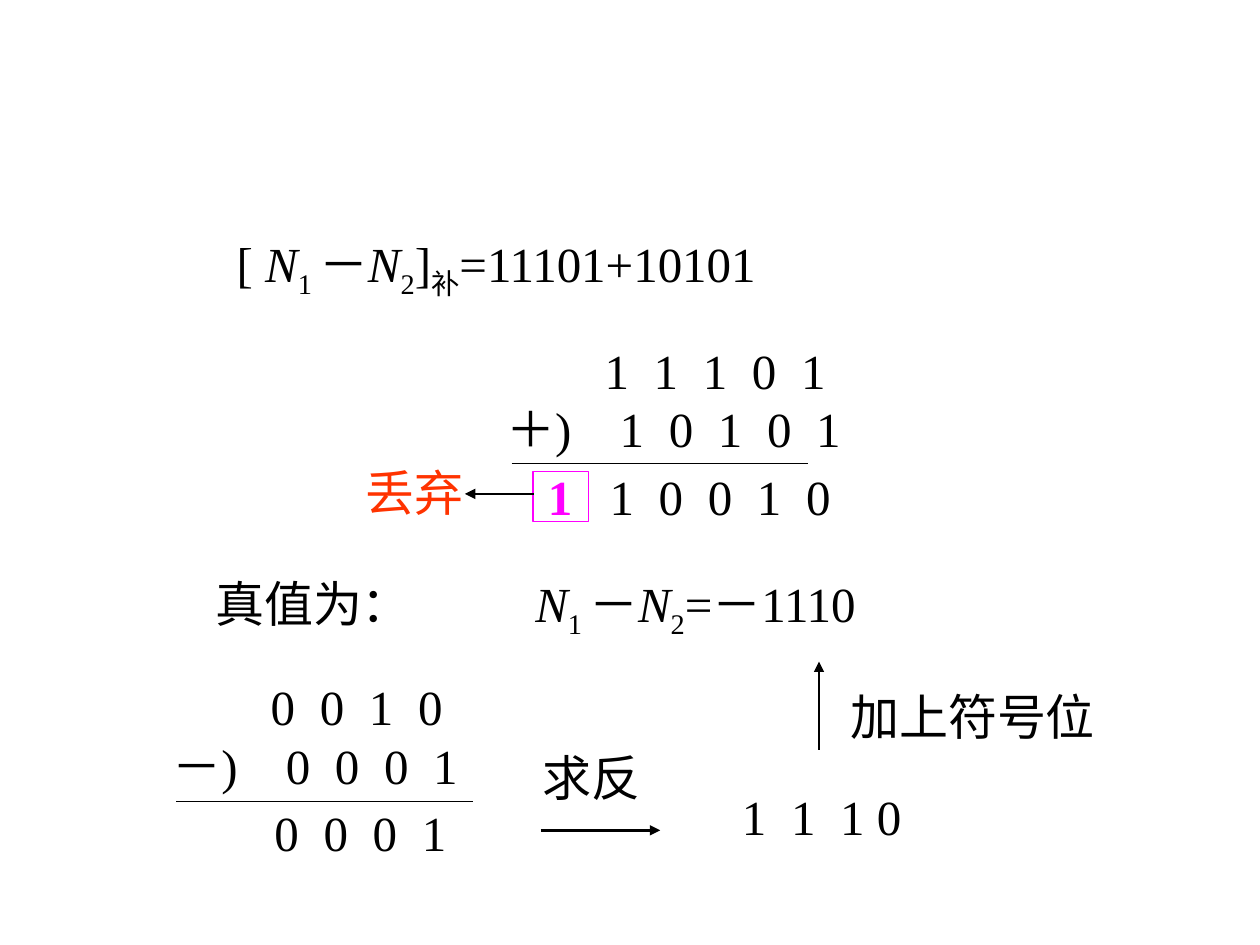
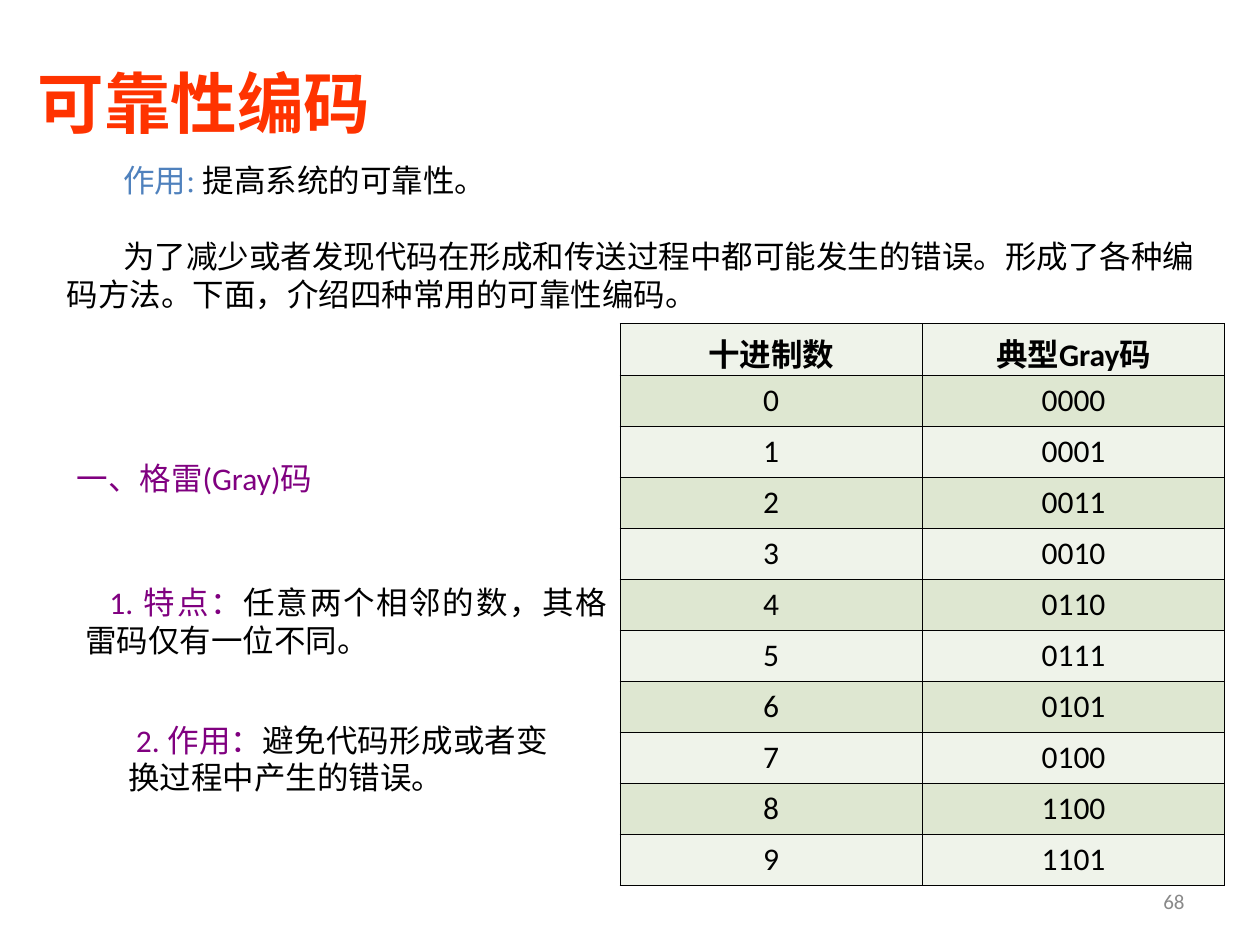
"""Build two slides on complement subtraction and the Gray code."""
from lxml.etree import SubElement
from pptx import Presentation
from pptx.dml.color import RGBColor
from pptx.enum.shapes import MSO_CONNECTOR, MSO_SHAPE
from pptx.enum.text import MSO_ANCHOR, PP_ALIGN
from pptx.oxml.ns import qn
from pptx.util import Inches, Pt

BLACK = RGBColor(0, 0, 0)
RED = RGBColor(0xFF, 0x33, 0)
MAGENTA = RGBColor(0xFF, 0, 0xFF)
PURPLE = RGBColor(0x80, 0, 0x80)
BLUE = RGBColor(0x4F, 0x81, 0xBD)
GREY = RGBColor(0x89, 0x89, 0x89)
ROW_FILLS = (RGBColor(0xEF, 0xF3, 0xEA), RGBColor(0xDE, 0xE7, 0xD1))
SERIF, SANS = "Times New Roman", "Calibri"
DIGIT_PITCH = 0.39

DIFFERENCE = [("N", "italic"), ("1 ", "subscript"), "－", ("N", "italic"), ("2", "subscript")]
FORMULAS = [
    ((1.78, 1.8, 4.9, 0.63), ["[ ", *DIFFERENCE, "]", ("补", "subscript"), "=11101+10101"], ()),
    ((1.61, 4.5, 5.67, 0.63), ["真值为：\t", *DIFFERENCE, "=－1110"], (2.54,)),
    ((5.79, 6.19, 2.24, 0.57), ["1\t1\t1 0"], (DIGIT_PITCH, 2 * DIGIT_PITCH)),
    ((6.65, 5.4, 2.36, 0.57), ["加上符号位"], ()),
    ((4.21, 5.88, 1.1, 0.57), ["求反"], ()),
]
CALCULATIONS = [
    {"terms": ("11101", "10101"), "sign": "＋)", "result": "10010", "carry": "1",
     "terms_at": (3.92, 2.65), "result_at": (4.25, 3.65), "rule": (4.06, 3.68)},
    {"terms": ("0010", "0001"), "sign": "－)", "result": "0001", "carry": "",
     "terms_at": (1.27, 5.32), "result_at": (1.59, 6.32), "rule": (1.4, 6.36)},
]
RULE_LENGTH = 2.35
ARROWS = [((4.24, 3.92), (3.69, 3.92)), ((4.29, 6.59), (5.24, 6.59)), ((6.5, 5.95), (6.5, 5.25))]

NOTES = [
    ((0.51, 3.59, 4.4, 0.4), 0, ["一、格雷(Gray)码"]),
    ((0.58, 4.58, 4.34, 0.7), 0.19, ["1. 特点：", ("任意两个相邻的数，其格雷码仅有一位不同。", BLACK)]),
    ((0.92, 5.67, 3.53, 0.7), 0.06, ["2. 作用：", ("避免代码形成或者变换过程中产生的错误。", BLACK)]),
]
PURPOSE = [("作用: ", BLUE), "提高系统的可靠性。"]
INTRODUCTION = ["为了减少或者发现代码在形成和传送过程中都可能发生的错误。"
                "形成了各种编码方法。下面，介绍四种常用的可靠性编码。"]
GRAY_CODES = ["0000", "0001", "0011", "0010", "0110", "0111", "0101", "0100", "1100", "1101"]
GRAY_TABLE = [("十进制数", "典型Gray码"), *((str(n), code) for n, code in enumerate(GRAY_CODES))]


def write(paragraph, parts, font=SERIF, size=28, color=BLACK, tabs=(), indent=0,
          align=PP_ALIGN.LEFT, bold=False):
    properties = paragraph._p.get_or_add_pPr()
    if indent:
        properties.set("indent", str(Inches(indent)))
    if tabs:
        tab_list = SubElement(properties, qn("a:tabLst"))
        for position in tabs:
            SubElement(tab_list, qn("a:tab"), pos=str(Inches(position)), algn="l")
    paragraph.alignment = align
    paragraph.font.name = font
    paragraph.font.size = Pt(size)
    paragraph.font.bold = bold
    paragraph.font.color.rgb = color
    for part in parts:
        text, style = (part, None) if isinstance(part, str) else part
        run = paragraph.add_run()
        run.text = text
        if style == "italic":
            run.font.italic = True
        elif style == "subscript":
            run._r.get_or_add_rPr().set("baseline", "-25000")
        elif style is not None:
            run.font.color.rgb = style
            run.font.bold = style == MAGENTA


def add_text(slide, box, parts, **style):
    frame = slide.shapes.add_textbox(*map(Inches, box)).text_frame
    frame.word_wrap = True
    write(frame.paragraphs[0], parts, **style)
    return frame


def add_line(slide, start, end, width, arrow=False):
    line = slide.shapes.add_connector(MSO_CONNECTOR.STRAIGHT, *map(Inches, (*start, *end)))
    line.line.color.rgb = BLACK
    line.line.width = Pt(width)
    if arrow:
        SubElement(line.line._get_or_add_ln(), qn("a:tailEnd"), type="triangle")
    SubElement(line._element.spPr, qn("a:effectLst"))


def digit_tabs(digits, first):
    return [first + DIGIT_PITCH * column for column in range(len(digits))]


def spread(digits):
    return "".join("\t" + digit for digit in digits)


def add_calculation(slide, calculation):
    upper, lower = calculation["terms"]
    frame = add_text(slide, (*calculation["terms_at"], 3, 1.04), [spread(upper)],
                     tabs=digit_tabs(upper, 0.78))
    write(frame.add_paragraph(), [calculation["sign"] + spread(lower)],
          tabs=digit_tabs(lower, 0.9))
    left, top = calculation["rule"]
    add_line(slide, (left, top), (left + RULE_LENGTH, top), 0.75)
    result = calculation["result"]
    carry = [(calculation["carry"], MAGENTA)] if calculation["carry"] else []
    add_text(slide, (*calculation["result_at"], 2.6, 0.57), [*carry, spread(result)],
             tabs=digit_tabs(result, 0.49))


def build_subtraction(presentation):
    slide = presentation.slides.add_slide(presentation.slide_layouts[6])
    for box, parts, tabs in FORMULAS:
        add_text(slide, box, parts, tabs=tabs)
    for calculation in CALCULATIONS:
        add_calculation(slide, calculation)
    carry_frame = slide.shapes.add_shape(MSO_SHAPE.RECTANGLE, *map(Inches, (4.23, 3.74, 0.44, 0.4)))
    carry_frame.shadow.inherit = False
    carry_frame.fill.background()
    carry_frame.line.color.rgb = MAGENTA
    carry_frame.line.width = Pt(0.75)
    add_text(slide, (2.8, 3.62, 0.99, 0.57), ["丢弃"], color=RED)
    for start, end in ARROWS:
        add_line(slide, start, end, 1.5, arrow=True)


def add_borders(cell):
    properties = cell._tc.get_or_add_tcPr()
    for position, side in enumerate(("lnL", "lnR", "lnT", "lnB")):
        border = SubElement(properties, qn("a:" + side), w=str(Pt(0.45)))
        fill = SubElement(border, qn("a:solidFill"))
        SubElement(fill, qn("a:srgbClr"), val=str(BLACK))
        properties.insert(position, border)


def add_gray_table(slide):
    box = map(Inches, (4.92, 2.57, 4.8, 4.46))
    table = slide.shapes.add_table(len(GRAY_TABLE), 2, *box).table
    for row, values in enumerate(GRAY_TABLE):
        for column, value in enumerate(values):
            cell = table.cell(row, column)
            cell.fill.solid()
            cell.fill.fore_color.rgb = ROW_FILLS[row % 2]
            add_borders(cell)
            write(cell.text_frame.paragraphs[0], [value], font=SANS, size=18,
                  align=PP_ALIGN.CENTER, bold=row == 0)


def build_gray_code(presentation):
    slide = presentation.slides.add_slide(presentation.slide_layouts[5])
    title = slide.shapes.title
    title.left, title.top, title.width, title.height = map(Inches, (0.2, 0.44, 2.9, 0.74))
    title.text_frame.vertical_anchor = MSO_ANCHOR.TOP
    write(title.text_frame.paragraphs[0], ["可靠性编码"], size=38, color=RED, bold=True)
    frame = add_text(slide, (0.43, 1.23, 9.18, 1.3), PURPOSE, size=18, indent=0.45)
    introduction = frame.add_paragraph()
    write(introduction, INTRODUCTION, size=18, indent=0.45)
    introduction.space_before = Pt(22)
    for box, indent, parts in NOTES:
        add_text(slide, box, parts, font=SANS, size=18, color=PURPLE, indent=indent,
                 align=PP_ALIGN.JUSTIFY)
    add_gray_table(slide)
    number = add_text(slide, (7.17, 6.95, 2.33, 0.4), ["68"], font=SANS, size=12, color=GREY,
                      align=PP_ALIGN.RIGHT)
    number.vertical_anchor = MSO_ANCHOR.MIDDLE


def main():
    presentation = Presentation()
    presentation.slide_width, presentation.slide_height = Inches(10), Inches(7.5)
    build_subtraction(presentation)
    build_gray_code(presentation)
    presentation.save("out.pptx")


if __name__ == "__main__":
    main()
